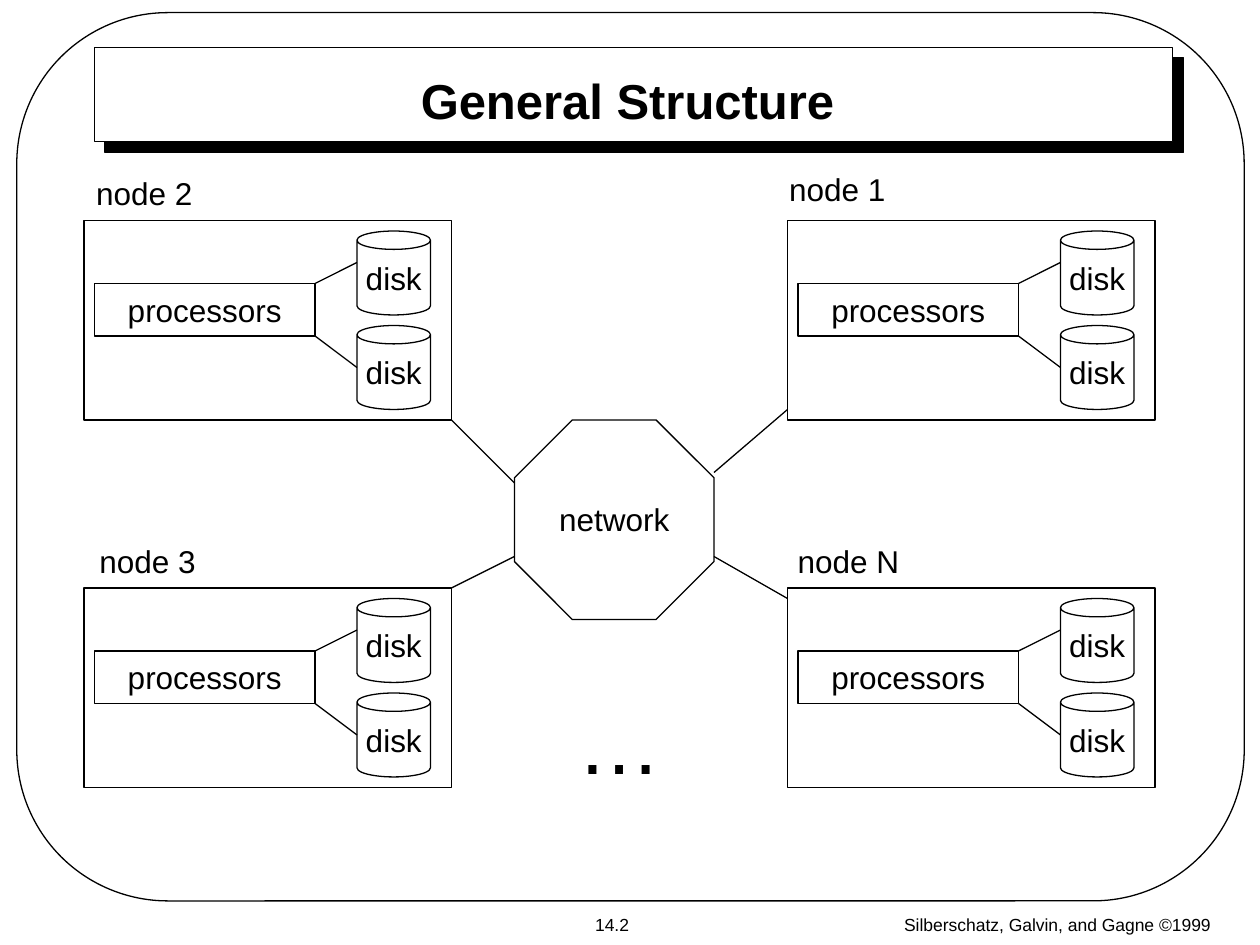
from lxml.etree import SubElement
from pptx import Presentation
from pptx.dml.color import RGBColor
from pptx.enum.shapes import MSO_CONNECTOR, MSO_SHAPE as SHAPE
from pptx.enum.text import MSO_ANCHOR, PP_ALIGN
from pptx.oxml.ns import qn
from pptx.util import Inches, Pt

BLACK = RGBColor(0, 0, 0)
WHITE = RGBColor(255, 255, 255)

prs = Presentation()
prs.slide_width, prs.slide_height = Inches(10), Inches(7.5)
s = prs.slides.add_slide(prs.slide_layouts[6])
COL = prs.slide_width / 120
ROW = prs.slide_height / 90


def add_box(shapes, kind, x, y, w, h, text="", size=18, bold=False):
    at = [round(v) for v in (x * COL, y * ROW, w * COL, h * ROW)]
    if kind is None:
        sp = shapes.add_textbox(*at)
    else:
        sp = shapes.add_shape(kind, *at)
        sp.shadow.inherit = False
        sp.fill.solid()
        sp.fill.fore_color.rgb = WHITE
        sp.line.color.rgb = BLACK
        sp.line.width = Pt(0.75)
    if text:
        tf = sp.text_frame
        tf.word_wrap = False
        tf.margin_left = tf.margin_right = 0
        tf.vertical_anchor = MSO_ANCHOR.MIDDLE
        p = tf.paragraphs[0]
        p.alignment = PP_ALIGN.CENTER
        r = p.add_run()
        r.text = text
        r.font.name = "Arial"
        r.font.size = Pt(size)
        r.font.bold = bold
        r.font.color.rgb = BLACK
    return sp


def add_line(shapes, x1, y1, x2, y2):
    ends = [round(v) for v in (x1 * COL, y1 * ROW, x2 * COL, y2 * ROW)]
    line = shapes.add_connector(MSO_CONNECTOR.STRAIGHT, *ends)
    line.line.color.rgb = BLACK
    line.line.width = Pt(0.75)
    SubElement(line._element.spPr, qn("a:effectLst"))


frame = add_box(s.shapes, SHAPE.ROUNDED_RECTANGLE, 1.6, 1.2, 116.9, 84.6)
frame.adjustments[0] = 0.17
frame.fill.background()

add_box(s.shapes, None, 81.7, 86, 38, 4, "Silberschatz, Galvin, and Gagne ©1999", 10)
add_box(s.shapes, None, 52.2, 86.4, 12.2, 3.2, "14.2", 10)

banner = add_box(s.shapes, SHAPE.RECTANGLE, 9, 4.5, 102.7, 9)
effects = banner._element.spPr.find(qn("a:effectLst"))
shadow = SubElement(effects, qn("a:outerShdw"), dist=str(Pt(8.5)), dir="2700000",
                    algn="tl", rotWithShape="0")
SubElement(shadow, qn("a:srgbClr"), val=str(BLACK))
add_box(s.shapes, None, 15.2, 6.5, 90.4, 6, "General Structure ", 28, True)

network = add_box(s.shapes, SHAPE.OCTAGON, 49, 40, 19, 19)
network.adjustments[0] = 0.29
add_box(s.shapes, None, 52.1, 47, 12.8, 4.8, "network")

for x, y in ((75, 21), (75, 56), (8, 56), (8, 21)):
    node = s.shapes.add_group_shape().shapes
    add_box(node, SHAPE.RECTANGLE, x, y, 35, 19)
    for dy in (1, 10):
        add_box(node, SHAPE.CAN, x + 26, y + dy, 7, 8, "disk")
    add_box(node, SHAPE.RECTANGLE, x + 1, y + 6, 21, 5, "processors")
    for start, end in ((6, 4), (11, 14)):
        add_line(node, x + 22, y + start, x + 26, y + end)

for link in ((68, 45, 75, 39), (49, 46, 43, 40), (49, 53, 43, 56), (68, 53, 75, 57)):
    add_line(s.shapes, *link)

add_box(s.shapes, None, 53.8, 65.2, 10.4, 10.8, "…", 48)
for name, x, y, w in (("node 1", 74, 15.6, 11.5), ("node N", 74.8, 51, 12),
                      ("node 3", 8.3, 51, 11.5), ("node 2", 8, 16, 11.5)):
    add_box(s.shapes, None, x, y, w, 4.8, name)

prs.save("out.pptx")
